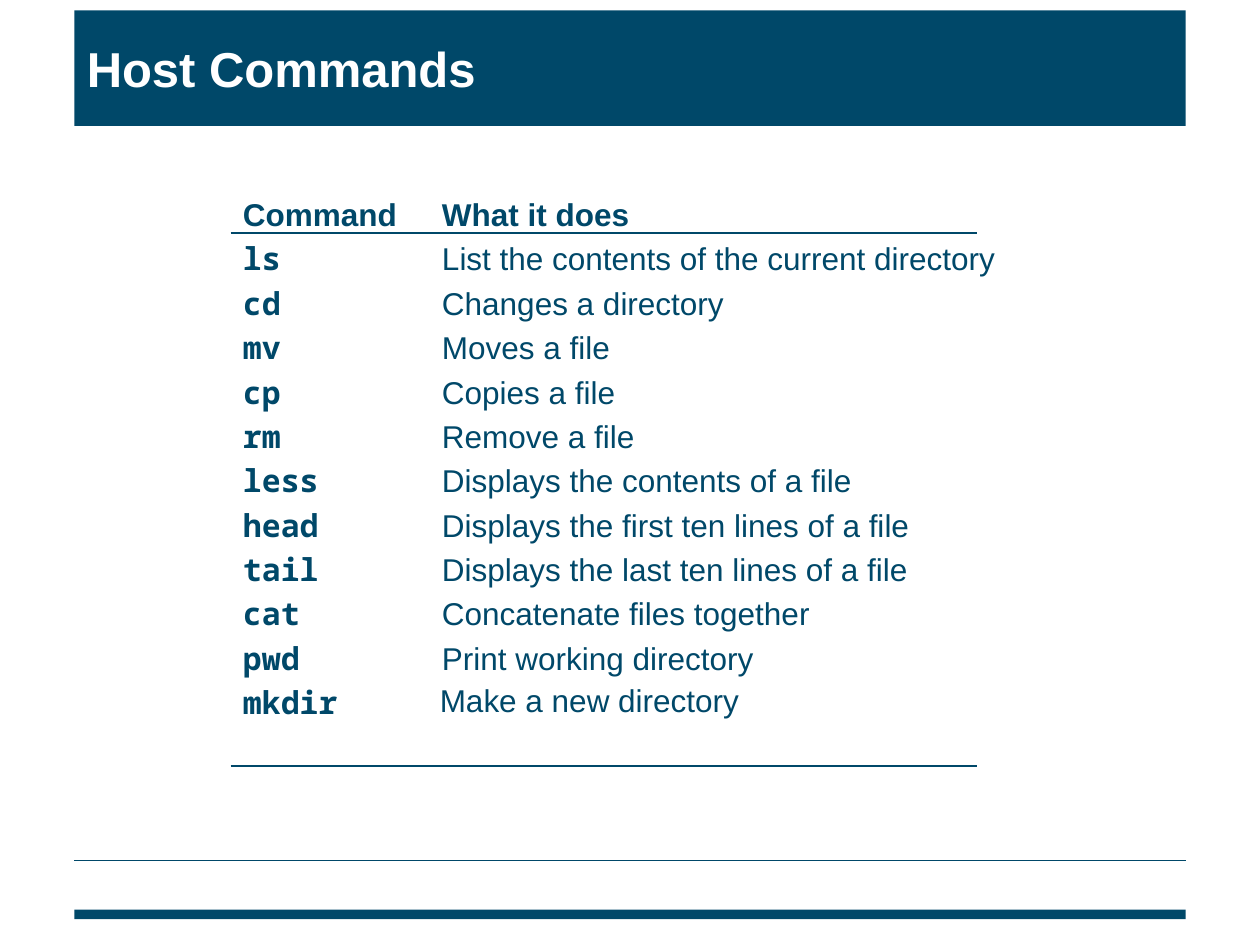
from dataclasses import dataclass

from lxml import etree
from pptx import Presentation
from pptx.dml.color import RGBColor
from pptx.enum import shapes, text
from pptx.oxml import ns
from pptx.util import Pt

NAVY = RGBColor(0x00, 0x48, 0x69)
WHITE = RGBColor(0xFF, 0xFF, 0xFF)
SANS = "Arial"
MONO = "Noto Sans Mono"

PAGE_LEFT, PAGE_RIGHT = 42.5, 677.5
TABLE_LEFT, TABLE_RIGHT, TABLE_TOP = 131.75, 558, 108
DESCRIPTION_LEFT = 245.5
ROW_HEIGHT = 25.35


@dataclass(frozen=True)
class Row:
    command: str
    description: str
    command_font: str = MONO
    header: bool = False
    description_width: float = TABLE_RIGHT - DESCRIPTION_LEFT
    shift_x: float = 0
    shift_y: float = 0


@dataclass(frozen=True)
class Rule:
    left: float
    right: float
    y: float
    weight: float


ROWS = [
    Row("Command", "What it does", command_font=SANS, header=True),
    Row("ls", "List the contents of the current directory", description_width=402),
    Row("cd", "Changes a directory"),
    Row("mv", "Moves a file"),
    Row("cp", "Copies a file"),
    Row("rm", "Remove a file"),
    Row("less", "Displays the contents of a file"),
    Row("head", "Displays the first ten lines of a file"),
    Row("tail", "Displays the last ten lines of a file"),
    Row("cat", "Concatenate files together"),
    Row("pwd", "Print working directory"),
    Row("mkdir", "Make a new directory", shift_x=-1.25, shift_y=-1),
]

RULES = [
    Rule(PAGE_LEFT, PAGE_RIGHT, 491.75, 0.75),
    Rule(TABLE_LEFT, TABLE_RIGHT, TABLE_TOP + ROW_HEIGHT, 1),
    Rule(TABLE_LEFT, TABLE_RIGHT, 437.75, 1),
]


def write(frame, words: str, size: float, font: str, color: RGBColor, bold: bool) -> None:
    frame.word_wrap = True
    para = frame.paragraphs[0]
    para.alignment = text.PP_ALIGN.LEFT
    span = para.add_run()
    span.text = words
    span.font.size = Pt(size)
    span.font.name = font
    span.font.bold = bold
    span.font.color.rgb = color


def add_band(page, top: float, height: float):
    band = page.shapes.add_shape(
        shapes.MSO_SHAPE.RECTANGLE,
        Pt(PAGE_LEFT), Pt(top), Pt(PAGE_RIGHT - PAGE_LEFT), Pt(height),
    )
    band.shadow.inherit = False
    band.fill.solid()
    band.fill.fore_color.rgb = NAVY
    band.line.fill.background()
    return band


def add_rule(page, rule: Rule) -> None:
    line = page.shapes.add_connector(
        shapes.MSO_CONNECTOR.STRAIGHT,
        Pt(rule.left), Pt(rule.y), Pt(rule.right), Pt(rule.y),
    )
    line.line.color.rgb = NAVY
    line.line.width = Pt(rule.weight)
    etree.SubElement(line._element.spPr, ns.qn("a:effectLst"))


def add_cell(page, left: float, top: float, width: float,
             words: str, font: str, bold: bool) -> None:
    box = page.shapes.add_textbox(Pt(left), Pt(top), Pt(width), Pt(ROW_HEIGHT))
    write(box.text_frame, words, 18, font, NAVY, bold)


def add_row(page, row: Row, top: float) -> None:
    add_cell(page, TABLE_LEFT, top, DESCRIPTION_LEFT - TABLE_LEFT,
             row.command, row.command_font, True)
    add_cell(page, DESCRIPTION_LEFT + row.shift_x, top + row.shift_y,
             row.description_width, row.description, SANS, row.header)


def main() -> None:
    deck = Presentation()
    deck.slide_width, deck.slide_height = Pt(720), Pt(540)
    page = deck.slides.add_slide(deck.slide_layouts[6])

    add_band(page, 519.75, 5.5)
    title = add_band(page, 6, 66)
    title.text_frame.vertical_anchor = text.MSO_ANCHOR.MIDDLE
    write(title.text_frame, "Host Commands", 28, SANS, WHITE, True)

    for rule in RULES:
        add_rule(page, rule)
    for index, row in enumerate(ROWS):
        add_row(page, row, TABLE_TOP + index * ROW_HEIGHT)

    deck.save("out.pptx")


if __name__ == "__main__":
    main()
